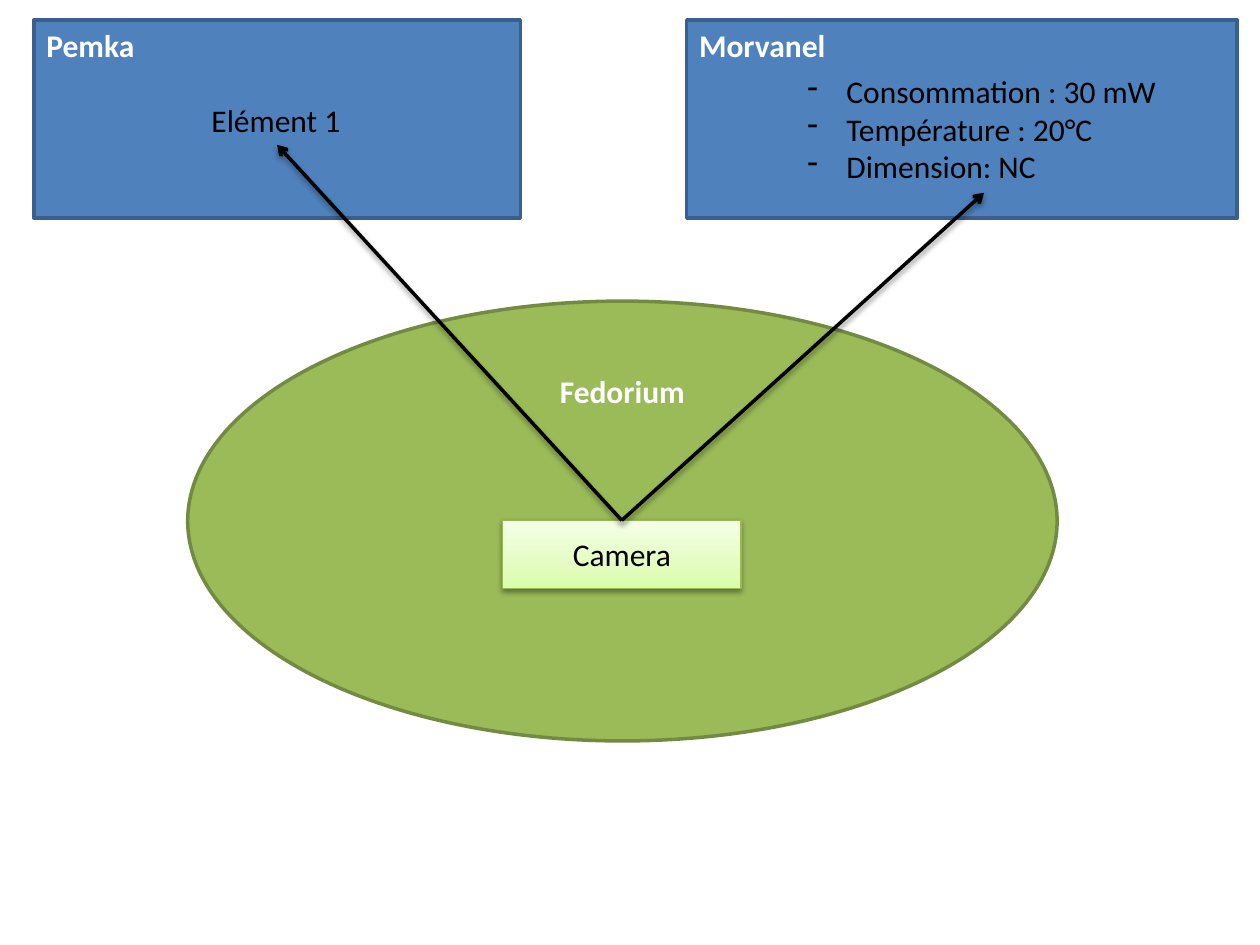
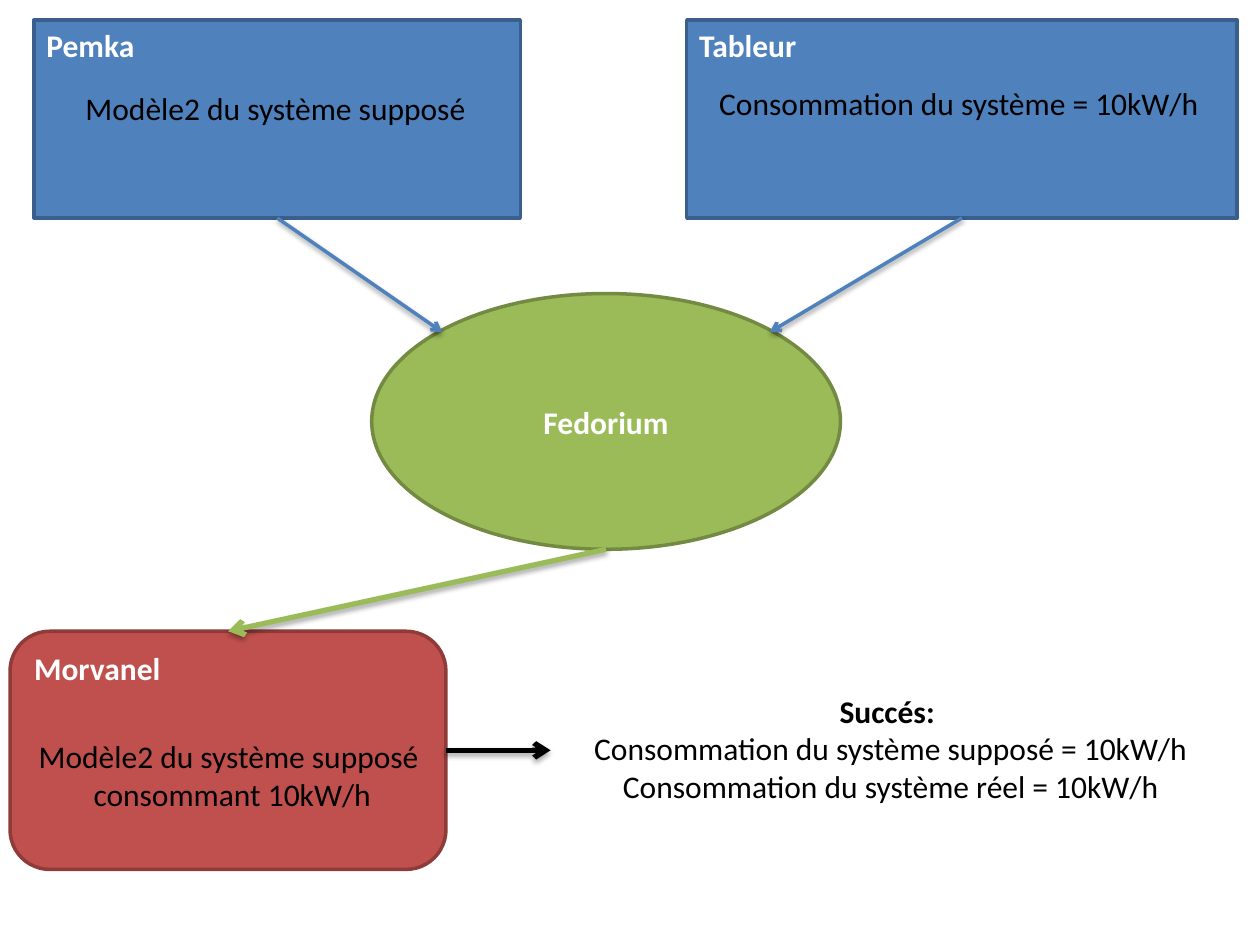
from copy import deepcopy

from lxml.etree import SubElement
from pptx import Presentation
from pptx.dml.color import RGBColor
from pptx.enum.shapes import MSO_CONNECTOR, MSO_SHAPE
from pptx.enum.text import MSO_ANCHOR, MSO_AUTO_SIZE, PP_ALIGN
from pptx.oxml.ns import qn
from pptx.util import Pt

PX = 9144  # 100 px to the inch
FONT = "Calibri"
BLACK, WHITE = "000000", "FFFFFF"
BLUE, BLUE_EDGE = "4F81BD", "3A5F8C"
GREEN, GREEN_EDGE = "9BBB59", "738A42"
RED, RED_EDGE = "C0504D", "8E3B39"
CAMERA_EDGE = "98B955"
CAMERA_STOPS = [(0, "DAFDA7"), (0.35, "E4FCC2"), (1, "F5FFE7")]
LEFT_TOOL = (27, 16, 386, 157)
RIGHT_TOOL = (545, 16, 437, 157)
CENTER, LEFT = PP_ALIGN.CENTER, PP_ALIGN.LEFT


def emu(*lengths):
    return [round(length * PX) for length in lengths]


def color(hex_text):
    return RGBColor.from_string(hex_text)


def write(shape, lines, ink=BLACK, align=LEFT, bold_lines=0, dashes=False):
    """Fill a shape with one paragraph a line; the first bold_lines are bold."""
    frame = shape.text_frame
    for index, line in enumerate(lines):
        para = frame.add_paragraph() if index else frame.paragraphs[0]
        para.text = line
        para.alignment = align
        font = para.font
        font.name, font.size = FONT, Pt(18)
        font.bold = index < bold_lines
        font.color.rgb = color(ink)
        if dashes:
            props = para._p.get_or_add_pPr()
            indent, = emu(31)
            props.set("marL", str(indent))
            props.set("indent", str(-indent))
            bullet = SubElement(props, qn("a:buChar"), char="-")
            props.insert(0, bullet)


def cast_shadow(shape, distance=1.6, opacity=38):
    props = shape._element.spPr
    effects = props.find(qn("a:effectLst"))
    if effects is None:
        effects = SubElement(props, qn("a:effectLst"))
    shadow = SubElement(effects, qn("a:outerShdw"), blurRad=str(Pt(3.1)),
                        dist=str(Pt(distance)), dir="5400000", rotWithShape="0")
    shade = SubElement(shadow, qn("a:srgbClr"), val=BLACK)
    SubElement(shade, qn("a:alpha"), val=str(opacity * 1000))


def add_block(page, kind, box, fill, edge, name, anchor=MSO_ANCHOR.TOP,
              align=LEFT, ink=WHITE, bold_lines=1, edge_width=2):
    shape = page.shapes.add_shape(kind, *emu(*box))
    shape.shadow.inherit = False
    if fill:
        shape.fill.solid()
        shape.fill.fore_color.rgb = color(fill)
    shape.line.color.rgb = color(edge)
    shape.line.width = Pt(edge_width)
    shape.text_frame.word_wrap = True
    shape.text_frame.vertical_anchor = anchor
    write(shape, [name], ink, align, bold_lines)
    return shape


def add_text(page, box, lines, wrap=False, **style):
    text = page.shapes.add_textbox(*emu(*box))
    text.text_frame.word_wrap = wrap
    text.text_frame.auto_size = MSO_AUTO_SIZE.SHAPE_TO_FIT_TEXT
    write(text, lines, **style)
    return text


def add_tool(page, box, name, inner, lines, **style):
    """A blue tool box, with its text placed relative to the box corner."""
    tool = add_block(page, MSO_SHAPE.RECTANGLE, box, BLUE, BLUE_EDGE, name)
    left, top, width, height = inner
    text = add_text(page, (box[0] + left, box[1] + top, width, height), lines, **style)
    return tool, text


def add_hub(page, box, anchor):
    return add_block(page, MSO_SHAPE.OVAL, box, GREEN, GREEN_EDGE, "Fedorium",
                     anchor, CENTER)


def add_camera(page, box):
    camera = add_block(page, MSO_SHAPE.RECTANGLE, box, None, CAMERA_EDGE, "Camera",
                       MSO_ANCHOR.MIDDLE, CENTER, BLACK, 0, 0.75)
    camera.fill.gradient()
    camera.fill.gradient_angle = 90
    stop_list = camera._element.spPr.find(".//" + qn("a:gsLst"))
    stop_list.append(deepcopy(stop_list[0]))
    for stop, (position, shade) in zip(camera.fill.gradient_stops, CAMERA_STOPS):
        stop.position = position
        stop.color.rgb = color(shade)
    cast_shadow(camera)
    return camera


def point(shape, across, down):
    """A point of a shape, as fractions of its width and height."""
    return (round(shape.left + across * shape.width),
            round(shape.top + down * shape.height))


def add_arrow(page, start, end, ink, width=2, **shadow):
    arrow = page.shapes.add_connector(MSO_CONNECTOR.STRAIGHT, *start, *end)
    arrow.line.color.rgb = color(ink)
    arrow.line.width = Pt(width)
    SubElement(arrow.line._get_or_add_ln(), qn("a:tailEnd"), type="arrow")
    cast_shadow(arrow, **shadow)


def build_camera_page(page):
    # Tools and their data
    _, element = add_tool(page, LEFT_TOOL, "Pemka", (131, 59, 124, 40), ["Elément 1"])
    _, measures = add_tool(
        page, RIGHT_TOOL, "Morvanel", (86, 36, 300, 101),
        ["Consommation : 30 mW", "Température : 20°C", "Dimension: NC"], dashes=True)
    # Hub with the camera
    add_hub(page, (149, 239, 690, 349), MSO_ANCHOR.TOP)
    camera = add_camera(page, (399, 413, 189, 54))
    # Links from the camera to the data
    for target in (measures, element):
        add_arrow(page, point(camera, 0.5, 0), point(target, 0.5, 1), BLACK)


def build_result_page(page):
    # Source tools
    model, _ = add_tool(page, LEFT_TOOL, "Pemka", (31, 50, 339, 40),
                        ["Modèle2 du système supposé"], wrap=True)
    sheet, _ = add_tool(page, RIGHT_TOOL, "Tableur", (16, 46, 405, 40),
                        ["Consommation du système = 10kW/h"])
    # Hub, fed at its upper diagonals
    hub = add_hub(page, (295, 233, 372, 203), MSO_ANCHOR.MIDDLE)
    for tool, across in ((sheet, 0.85), (model, 0.15)):
        add_arrow(page, point(tool, 0.5, 1), point(hub, across, 0.15), BLUE)
    # Target tool
    target = add_block(page, MSO_SHAPE.ROUNDED_RECTANGLE, (8, 501, 346, 189),
                       RED, RED_EDGE, "Morvanel")
    add_text(page, (19, 580, 325, 71),
             ["Modèle2 du système supposé", " consommant 10kW/h"], align=CENTER)
    # Result
    result = add_text(
        page, (459, 544, 496, 101),
        ["Succés: ", "Consommation du système supposé = 10kW/h",
         "Consommation du système réel = 10kW/h"], align=CENTER, bold_lines=1)
    strong = {"width": 3, "distance": 1.8, "opacity": 35}
    add_arrow(page, point(hub, 0.5, 1), point(target, 0.5, 0), GREEN, **strong)
    exit_x, exit_y = point(target, 1, 0.5)
    gap, = emu(22)
    add_arrow(page, (exit_x, exit_y), (result.left - gap, exit_y), BLACK, **strong)


def main():
    deck = Presentation()
    deck.slide_width, deck.slide_height = emu(1000, 750)
    for build in (build_camera_page, build_result_page):
        build(deck.slides.add_slide(deck.slide_layouts[6]))
    deck.save("out.pptx")


if __name__ == "__main__":
    main()
